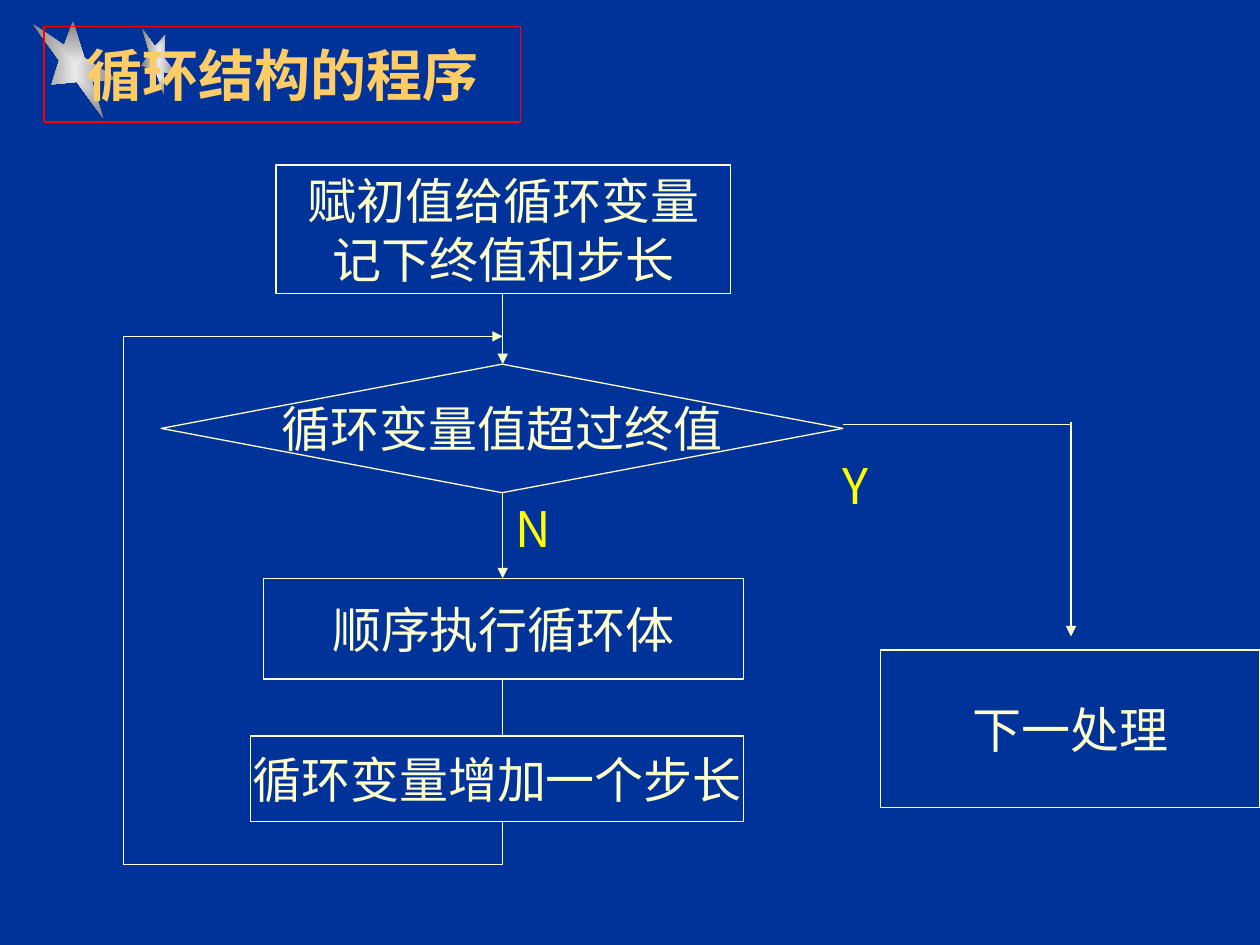
from lxml.etree import SubElement
from pptx import Presentation
from pptx.dml.color import RGBColor as RGB
from pptx.enum.shapes import MSO_CONNECTOR as CONN, MSO_SHAPE as SHAPE
from pptx.enum.text import MSO_ANCHOR as ANCHOR, PP_ALIGN as ALIGN
from pptx.oxml.ns import qn
from pptx.util import Inches, Pt

COLORS = {"back": "003399", "ink": "FFFFCC", "title": "FFCC66", "label": "FFFF00",
          "frame": "FF0000", "star_core": "EAEAEA", "star_edge": "808080"}
FONT = "Noto Sans CJK SC"
BIG_STAR = [(0.82, 0.94), (0.61, 0.65), (0.41, 0.67), (0.47, 0.48), (0.26, 0.19),
            (0.51, 0.36), (0.58, 0.17), (0.67, 0.46), (0.93, 0.63), (0.73, 0.65)]
SMALL_STAR = [(1.3, 0.75), (1.23, 0.55), (1.12, 0.52), (1.19, 0.43), (1.13, 0.23),
              (1.23, 0.37), (1.31, 0.28), (1.3, 0.46), (1.41, 0.6), (1.3, 0.57)]


def color(name):
    return RGB.from_string(COLORS[name])


class FlowSlide:
    def __init__(self, slide):
        self.s = slide
        self.line_width = Pt(0.75)
        slide.background.fill.solid()
        slide.background.fill.fore_color.rgb = color("back")

    def star(self, points):
        pts = [(Inches(x), Inches(y)) for x, y in points]
        builder = self.s.shapes.build_freeform(*pts[0], scale=1.0)
        builder.add_line_segments(pts[1:], close=True)
        sp = builder.convert_to_shape()
        sp.shadow.inherit = False
        sp.line.fill.background()
        sp.fill.gradient()
        for stop, name in zip(sp.fill.gradient_stops, ("star_core", "star_edge")):
            stop.color.rgb = color(name)
        grad = sp._element.spPr.find(qn("a:gradFill"))
        grad.remove(grad.find(qn("a:lin")))
        rect = SubElement(grad, qn("a:path"), path="rect")
        SubElement(rect, qn("a:fillToRect"), l="50000", t="50000", r="50000", b="50000")

    def set_text(self, tf, text, ink, size=28, font=FONT, bold=False, align=ALIGN.CENTER):
        tf.text = text
        for p in tf.paragraphs:
            p.alignment = align
            for r in p.runs:
                r.font.size = Pt(size)
                r.font.bold = bold
                r.font.color.rgb = color(ink)
                r.font.name = font
                SubElement(r._r.get_or_add_rPr(), qn("a:ea"), typeface=FONT)

    def box(self, text, x, y, w, h, kind=SHAPE.RECTANGLE, fill="back", line="ink",
            ink="ink", wrap=False, **style):
        sp = self.s.shapes.add_shape(kind, Inches(x), Inches(y), Inches(w), Inches(h))
        sp.shadow.inherit = False
        if fill:
            sp.fill.solid()
            sp.fill.fore_color.rgb = color(fill)
        else:
            sp.fill.background()
        sp.line.color.rgb = color(line)
        sp.line.width = self.line_width
        sp.text_frame.word_wrap = wrap
        sp.text_frame.vertical_anchor = ANCHOR.MIDDLE
        self.set_text(sp.text_frame, text, ink, **style)

    def label(self, text, x, y):
        tb = self.s.shapes.add_textbox(Inches(x), Inches(y), Inches(0.8), Inches(0.57))
        tb.text_frame.word_wrap = True
        self.set_text(tb.text_frame, text, "label", align=ALIGN.LEFT)

    def route(self, *points, arrow=True):
        for start, end in zip(points, points[1:]):
            c = self.s.shapes.add_connector(CONN.STRAIGHT, *map(Inches, start + end))
            c.line.color.rgb = color("ink")
            c.line.width = self.line_width
            SubElement(c._element.spPr, qn("a:effectLst"))
        if arrow:
            ln = c._element.spPr.find(qn("a:ln"))
            SubElement(ln, qn("a:tailEnd"), type="triangle")


def main():
    prs = Presentation()
    prs.slide_width, prs.slide_height = Inches(10), Inches(7.5)
    flow = FlowSlide(prs.slides.add_slide(prs.slide_layouts[6]))
    axis, loop_x, exit_x = 3.99, 0.98, 8.5

    flow.star(SMALL_STAR)
    flow.star(BIG_STAR)
    flow.box("循环结构的程序", 0.35, 0.21, 3.78, 0.76, fill=None, line="frame", ink="title",
             wrap=True, size=32, font="Times New Roman", bold=True)

    flow.box("赋初值给循环变量\n记下终值和步长", 2.19, 1.31, 3.61, 1.02)
    flow.route((axis, 2.33), (axis, 2.89))
    flow.box("循环变量值超过终值", 1.28, 2.89, 5.41, 1.02, kind=SHAPE.DIAMOND)
    flow.route((axis, 3.91), (axis, 4.59))
    flow.label("N", axis, 3.91)
    flow.box("顺序执行循环体", 2.09, 4.59, 3.81, 0.8)
    flow.route((axis, 5.39), (axis, 5.96))
    flow.box("循环变量增加一个步长", 1.99, 5.84, 3.91, 0.68)
    flow.route((axis, 6.52), (axis, 6.86), (loop_x, 6.86), (loop_x, 2.67), (axis, 2.67))

    flow.route((6.69, 3.37), (exit_x, 3.37), arrow=False)
    flow.route((exit_x, 3.35), (exit_x, 5.05))
    flow.label("Y", 6.59, 3.57)
    flow.box("下一处理", 6.99, 5.16, 3.01, 1.25)
    prs.save("out.pptx")


if __name__ == "__main__":
    main()
